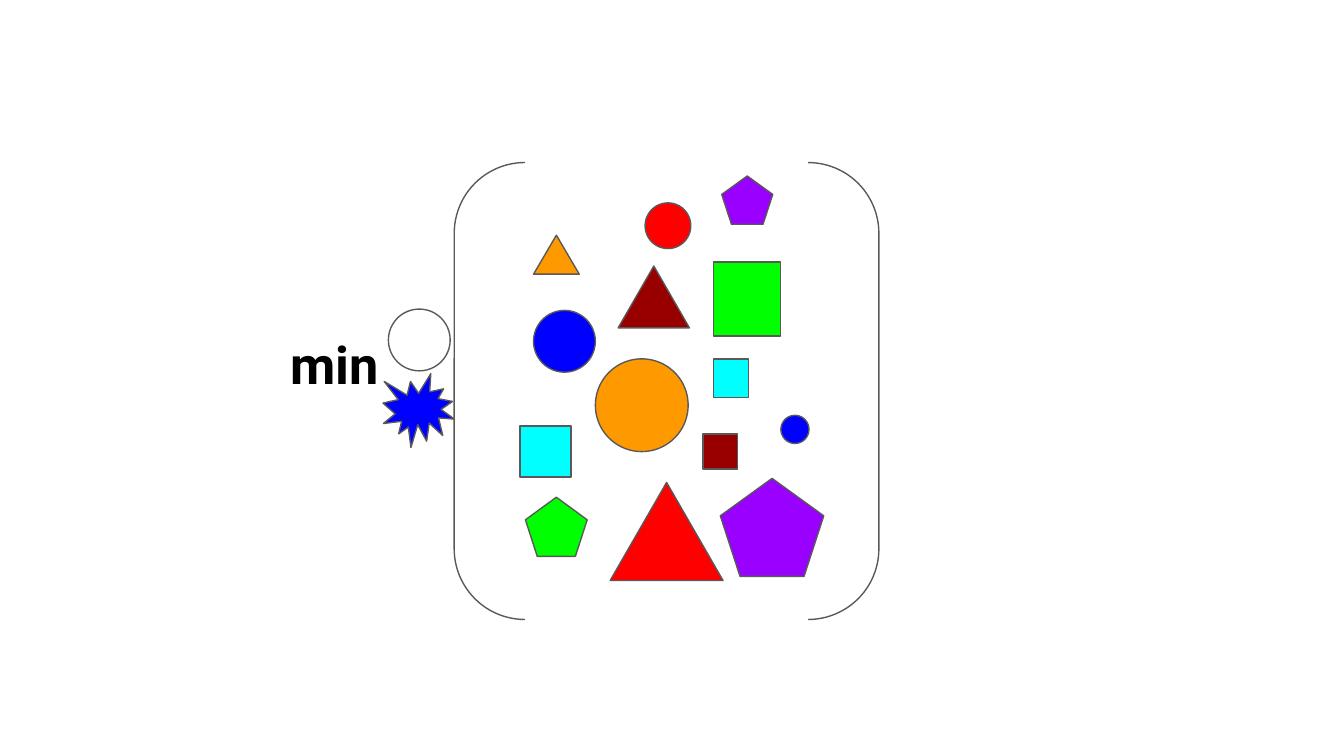
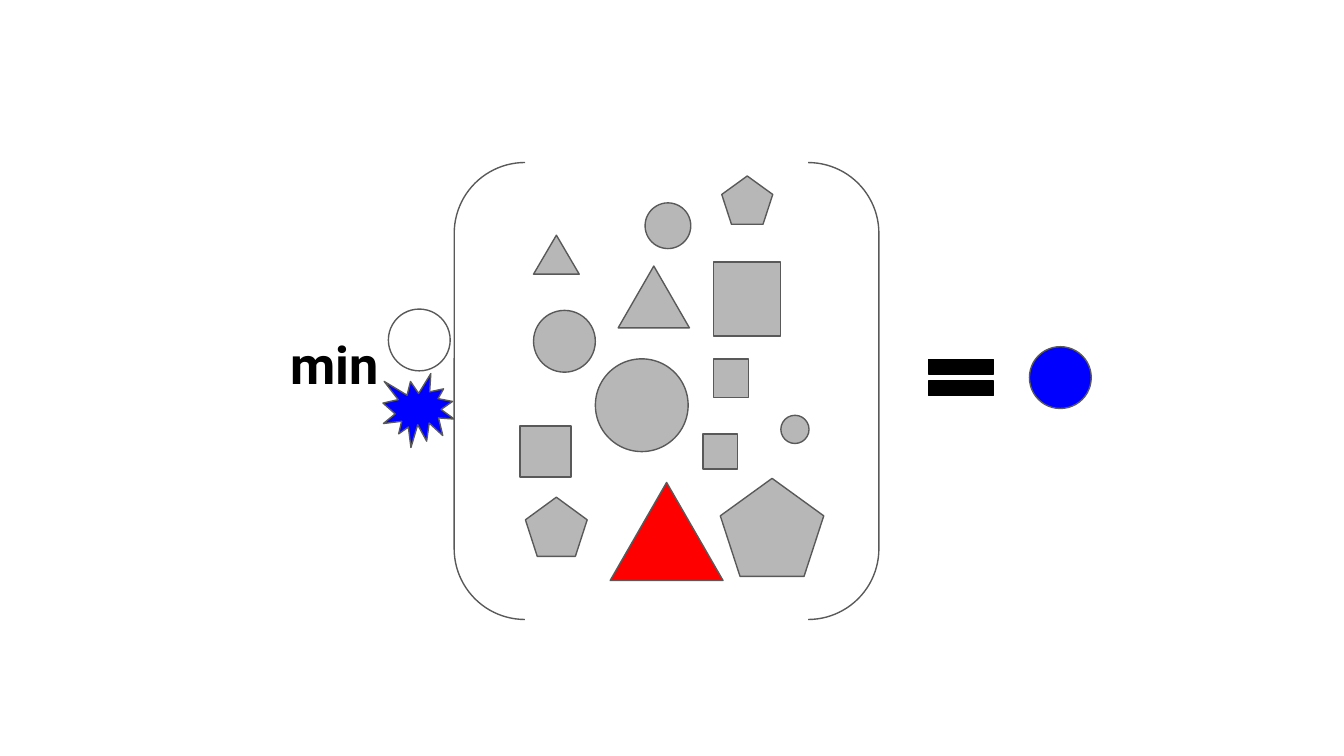
import dataclasses

import pptx
import pptx.dml.color
import pptx.enum.shapes
import pptx.enum.text
import pptx.util

Inches = pptx.util.Inches
Kind = pptx.enum.shapes.MSO_SHAPE

SLIDE_WIDTH = 10
SLIDE_HEIGHT = SLIDE_WIDTH * 9 / 16


@dataclasses.dataclass(frozen=True)
class Theme:
    font: str = "Roboto"
    label_size: int = 28
    line_width: float = 0.75
    outline: str = "595959"
    black: str = "000000"
    muted: str = "B7B7B7"
    red: str = "FF0000"
    maroon: str = "980000"
    orange: str = "FF9900"
    blue: str = "0000FF"
    green: str = "00FF00"
    cyan: str = "00FFFF"
    purple: str = "9900FF"


THEME = Theme()

# Members of the set: kind, left, top, width, height, colour
BIG_RED_TRIANGLE = (Kind.ISOSCELES_TRIANGLE, 4.54, 3.59, 0.84, 0.73, THEME.red)
MEMBERS = [
    (Kind.RECTANGLE, 5.23, 3.23, 0.26, 0.26, THEME.maroon),
    (Kind.OVAL, 4.8, 1.51, 0.34, 0.34, THEME.red),
    (Kind.ISOSCELES_TRIANGLE, 3.97, 1.75, 0.34, 0.29, THEME.orange),
    (Kind.OVAL, 3.97, 2.31, 0.46, 0.46, THEME.blue),
    (Kind.OVAL, 5.81, 3.09, 0.21, 0.21, THEME.blue),
    BIG_RED_TRIANGLE,
    (Kind.ISOSCELES_TRIANGLE, 4.6, 1.98, 0.53, 0.46, THEME.maroon),
    (Kind.RECTANGLE, 5.31, 1.95, 0.5, 0.55, THEME.green),
    (Kind.RECTANGLE, 3.87, 3.17, 0.38, 0.38, THEME.cyan),
    (Kind.OVAL, 4.43, 2.67, 0.69, 0.69, THEME.orange),
    (Kind.RECTANGLE, 5.31, 2.67, 0.26, 0.29, THEME.cyan),
    (Kind.REGULAR_PENTAGON, 3.91, 3.7, 0.46, 0.44, THEME.green),
    (Kind.REGULAR_PENTAGON, 5.36, 3.56, 0.77, 0.73, THEME.purple),
    (Kind.REGULAR_PENTAGON, 5.37, 1.31, 0.38, 0.36, THEME.purple),
]


def rgb(colour):
    return pptx.dml.color.RGBColor.from_string(colour)


def add_figure(shapes, kind, left, top, width, height, fill=None, line=THEME.outline):
    """Add an outlined preset shape, hollow when it has no fill colour."""
    shape = shapes.add_shape(
        kind, Inches(left), Inches(top), Inches(width), Inches(height)
    )
    shape.shadow.inherit = False
    if fill is None:
        shape.fill.background()
    else:
        shape.fill.solid()
        shape.fill.fore_color.rgb = rgb(fill)
    shape.line.color.rgb = rgb(line)
    shape.line.width = pptx.util.Pt(THEME.line_width)
    return shape


def add_label(slide, text, left, top, width, height):
    box = slide.shapes.add_textbox(
        Inches(left), Inches(top), Inches(width), Inches(height)
    )
    text_frame = box.text_frame
    text_frame.word_wrap = True
    text_frame.vertical_anchor = pptx.enum.text.MSO_ANCHOR.TOP
    text_frame.margin_left = text_frame.margin_right = Inches(0.1)
    text_frame.margin_top = text_frame.margin_bottom = Inches(0.1)
    text_frame.text = text
    font = text_frame.paragraphs[0].runs[0].font
    font.name = THEME.font
    font.size = pptx.util.Pt(THEME.label_size)
    font.bold = True
    font.color.rgb = rgb(THEME.black)


def add_operator(slide):
    """The min label with its two subscripts: circle shape and blue colour."""
    add_label(slide, "min", 2.06, 2.37, 1.03, 0.63)
    add_figure(slide.shapes, Kind.OVAL, 2.89, 2.3, 0.46, 0.46)
    add_figure(slide.shapes, Kind.EXPLOSION1, 2.85, 2.78, 0.53, 0.55, THEME.blue)


def add_set(slide, highlight=None):
    """The bracketed set; with a highlight, all other members turn grey."""
    add_figure(slide.shapes, Kind.DOUBLE_BRACKET, 3.38, 1.21, 3.16, 3.4)
    for member in MEMBERS:
        *geometry, colour = member
        if highlight is not None and member != highlight:
            colour = THEME.muted
        add_figure(slide.shapes, *geometry, colour)


def add_result(slide):
    group = slide.shapes.add_group_shape()
    add_figure(group.shapes, Kind.OVAL, 7.66, 2.58, 0.46, 0.46, THEME.blue)
    add_figure(
        group.shapes, Kind.MATH_EQUAL, 6.82, 2.58, 0.66, 0.46, THEME.black, THEME.black
    )


def main():
    presentation = pptx.Presentation()
    presentation.slide_width = Inches(SLIDE_WIDTH)
    presentation.slide_height = Inches(SLIDE_HEIGHT)
    blank = presentation.slide_layouts[6]

    # The question: every member in its own colour
    question = presentation.slides.add_slide(blank)
    add_set(question)
    add_operator(question)

    # The answer: one member stays lit, the result stands on the right
    answer = presentation.slides.add_slide(blank)
    add_set(answer, highlight=BIG_RED_TRIANGLE)
    add_result(answer)
    add_operator(answer)

    presentation.save("out.pptx")


if __name__ == "__main__":
    main()
